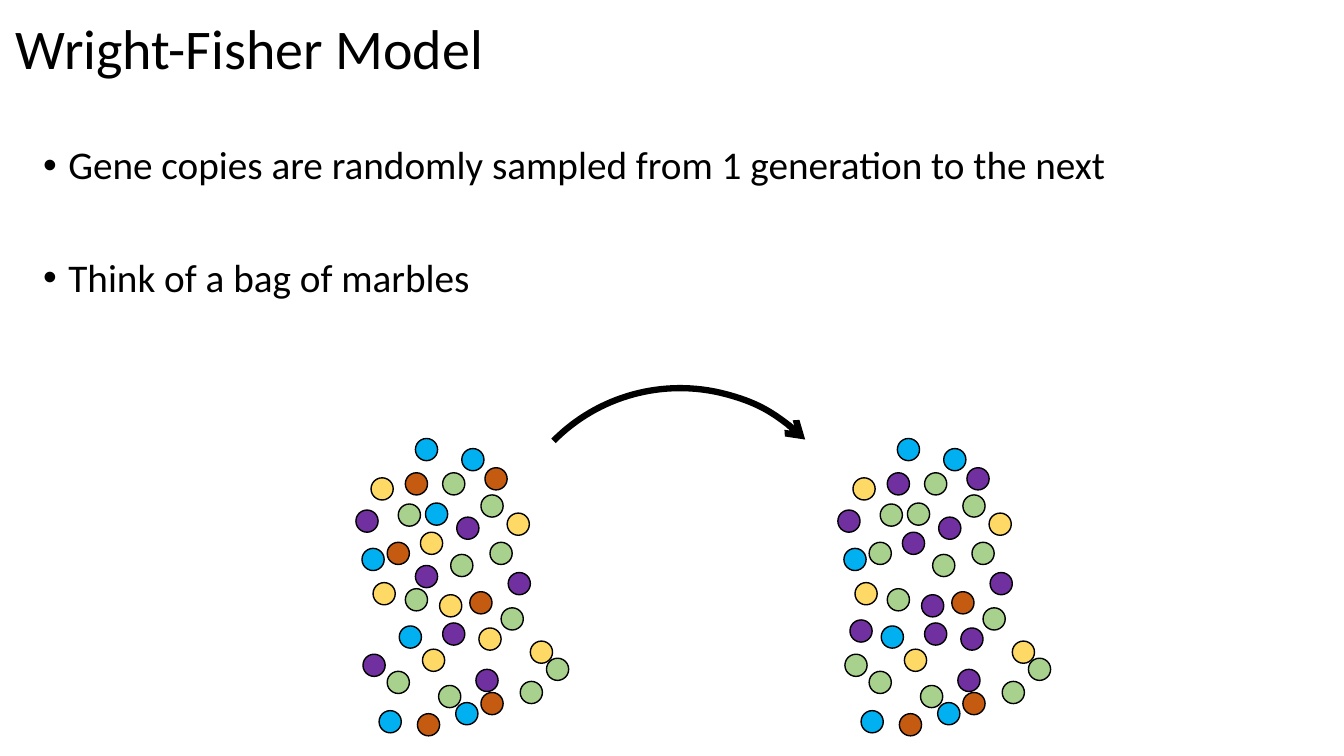
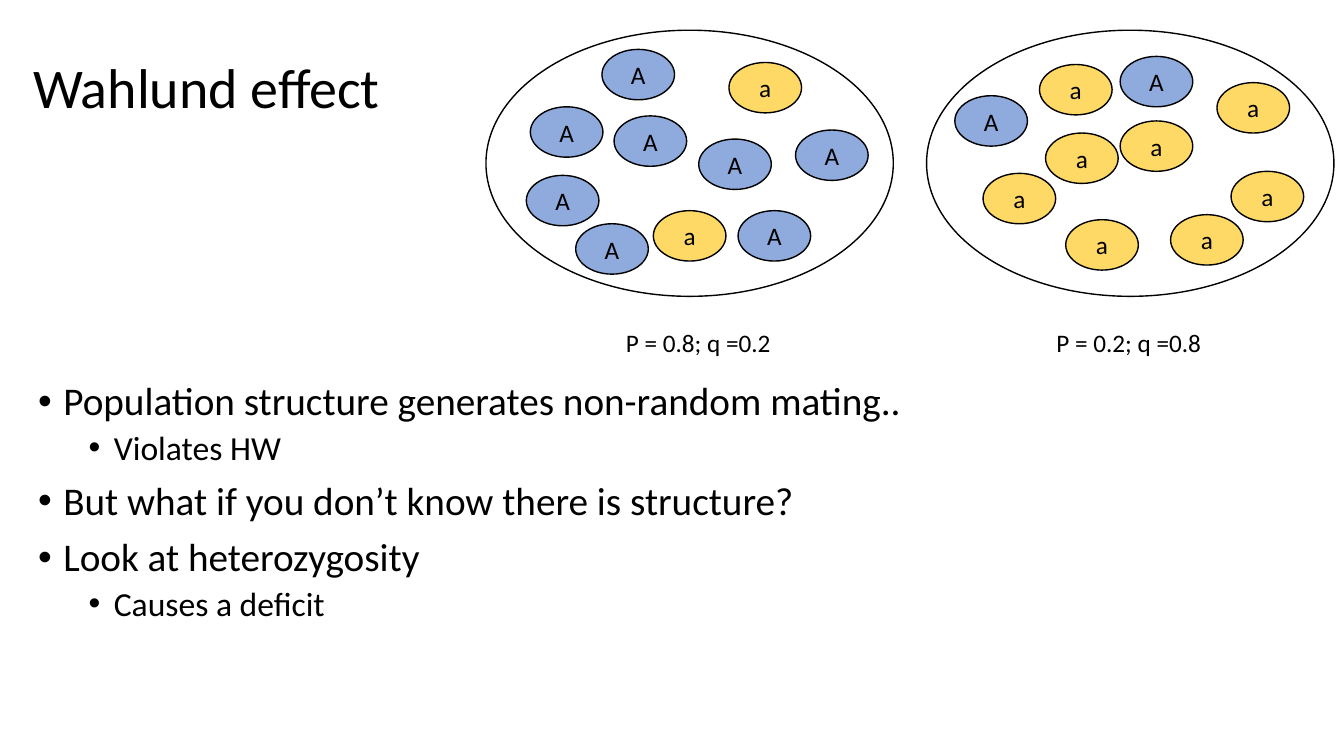
from dataclasses import dataclass

from lxml import etree
from pptx import Presentation
from pptx.dml.color import RGBColor
from pptx.enum.shapes import MSO_SHAPE
from pptx.enum.text import MSO_ANCHOR, MSO_AUTO_SIZE, PP_ALIGN
from pptx.oxml.ns import qn
from pptx.util import Inches, Pt

OVAL, ARC = MSO_SHAPE.OVAL, MSO_SHAPE.ARC
TOP, MIDDLE = MSO_ANCHOR.TOP, MSO_ANCHOR.MIDDLE
CENTER = PP_ALIGN.CENTER


@dataclass(frozen=True)
class Theme:
    font: str = "Calibri"
    ink: str = "000000"
    yellow: str = "FFD966"
    green: str = "A9D18E"
    orange: str = "C55A11"
    purple: str = "7030A0"
    cyan: str = "00B0F0"
    blue: str = "8FAADC"
    title: int = 40
    body: tuple = (28, 24)      # by bullet level
    label: int = 18
    space: tuple = (10, 5)      # space before, by bullet level
    line_spacing: float = 0.9
    outline: float = 1
    arrow: float = 4.5


T = Theme()

# Content: bullets are (text, level, extra space before in points)
MODEL_TITLE = ("Wright-Fisher Model", (0.06, 0, 11.5, 1.02))
MODEL_BOX = (0.33, 1.4, 12.09, 5.35)
MODEL_BULLETS = [
    ("Gene copies are randomly sampled from 1 generation to the next", 0, 0),
    ("Think of a bag of marbles", 0, 40),
]
WAHLUND_TITLE = ("Wahlund effect", (0.23, 0.17, 4.2, 1.45))
WAHLUND_BOX = (0.28, 3.74, 12.05, 3.8)
WAHLUND_BULLETS = [
    ("Population structure generates non-random mating..", 0, 0),
    ("Violates HW", 1, 0),
    ("But what if you don’t know there is structure?", 0, 0),
    ("Look at heterozygosity", 0, 0),
    ("Causes a deficit", 1, 0),
]

# Marbles: left, top, colour in each generation ("-" where absent)
MARBLE_COLOURS = {"Y": T.yellow, "G": T.green, "O": T.orange,
                  "P": T.purple, "C": T.cyan}
MARBLE_SIZE = 0.22
GENERATION_SHIFT = 4.78
MARBLES = [
    (3.7, 5.78, "YY"), (4.19, 6.44, "YY"), (4.36, 5.9, "YP"),
    (4.17, 5.28, "YP"), (5.03, 5.09, "YY"), (3.68, 4.74, "YY"),
    (4.75, 6.23, "YP"), (5.26, 6.36, "YY"), (4.35, 6.8, "GG"),
    (3.84, 6.66, "GG"), (3.95, 5, "GG"), (5.42, 6.53, "GG"),
    (4.47, 5.5, "GG"), (4.97, 6.03, "GG"), (4.39, 4.69, "GG"),
    (4.02, 5.84, "GG"), (4.14, 7.08, "OO"), (4.86, 5.38, "GG"),
    (5.16, 6.76, "GG"), (4.77, 4.91, "GG"), (4.77, 6.87, "OO"),
    (4.66, 5.87, "OO"), (3.84, 5.38, "OG"), (4.81, 4.64, "OP"),
    (4.02, 4.69, "OP"), (4.53, 5.13, "PP"), (5.04, 5.68, "PP"),
    (4.12, 5.61, "P-"), (3.65, 6.15, "-P"), (3.6, 6.49, "PG"),
    (3.53, 5.06, "PP"), (4.72, 6.64, "PP"), (4.39, 6.18, "PP"),
    (4.52, 6.97, "CC"), (3.59, 5.44, "CC"), (3.96, 6.21, "CC"),
    (4.12, 4.35, "CC"), (4.58, 4.45, "CC"), (3.76, 7.05, "CC"),
    (4.22, 4.99, "CG"),
]
ARROW_BOX, ARROW_TURN = (4.98, 3.85, 3.53, 3.53), 314.7

# Populations: left edge, label with its left edge, allele places by letter
ALLELE_COLOURS = {"A": T.blue, "a": T.yellow}
ALLELE_SIZE = (0.72, 0.5)
POPULATION_TOP, POPULATION_SIZE = 0.3, (4.04, 2.64)
LABEL_TOP, LABEL_SIZE = 3.2, (1.66, 0.4)
POPULATIONS = [
    (4.82, "P = 0.8; q =0.2", 6.11, {
        "A": [(5.26, 1.06), (6.09, 1.15), (5.22, 1.74), (5.71, 2.22),
              (6.93, 1.38), (7.32, 2.09), (5.97, 0.49), (7.89, 1.29)],
        "a": [(6.48, 2.09), (7.23, 0.62)],
    }),
    (9.19, "P = 0.2; q =0.8", 10.38, {
        "A": [(9.47, 0.95), (11.11, 0.56)],
        "a": [(10.57, 2.18), (12.07, 0.82), (11.61, 2.13), (10.37, 1.32),
              (12.21, 1.7), (10.31, 0.64), (11.11, 1.2), (9.75, 1.72)],
    }),
]


# Helpers
def inches(box):
    return [Inches(v) for v in box]


def style(p, size):
    for r in p.runs:
        r.font.name = T.font
        r.font.size = Pt(size)
        r.font.color.rgb = RGBColor.from_string(T.ink)


def add_text(s, box, text, size, anchor=TOP, wrap=True):
    sp = s.shapes.add_textbox(*inches(box))
    tf = sp.text_frame
    tf.word_wrap = wrap
    tf.vertical_anchor = anchor
    tf.text = text
    style(tf.paragraphs[0], size)
    return tf


def add_title(s, text, box):
    tf = add_text(s, box, text, T.title, MIDDLE)
    tf.paragraphs[0].line_spacing = T.line_spacing


def add_bullets(s, box, bullets):
    tf = add_text(s, box, "", T.body[0])
    for i, (text, level, extra) in enumerate(bullets):
        p = tf.add_paragraph() if i else tf.paragraphs[0]
        pPr = p._p.get_or_add_pPr()
        pPr.set("marL", str(Inches(0.25 + 0.5 * level)))
        pPr.set("indent", str(-Inches(0.25)))
        etree.SubElement(pPr, qn("a:buFont")).set("typeface", "Arial")
        etree.SubElement(pPr, qn("a:buChar")).set("char", "•")
        p.level = level
        p.line_spacing = T.line_spacing
        p.space_before = Pt(T.space[level] + extra if i else 0)
        p.text = text
        style(p, T.body[level])


def add_outlined(shapes, kind, box, fill=None, weight=T.outline):
    sp = shapes.add_shape(kind, *inches(box))
    sp.shadow.inherit = False
    if fill:
        sp.fill.solid()
        sp.fill.fore_color.rgb = RGBColor.from_string(fill)
    else:
        sp.fill.background()
    sp.line.color.rgb = RGBColor.from_string(T.ink)
    sp.line.width = Pt(weight)
    return sp


# Slides
def add_model_slide(prs):
    s = prs.slides.add_slide(prs.slide_layouts[6])
    add_title(s, *MODEL_TITLE)
    add_bullets(s, MODEL_BOX, MODEL_BULLETS)
    for generation in range(2):
        group = s.shapes.add_group_shape()
        for x, y, codes in MARBLES:
            fill = MARBLE_COLOURS.get(codes[generation])
            if fill:
                left = x + generation * GENERATION_SHIFT
                box = (left, y, MARBLE_SIZE, MARBLE_SIZE)
                add_outlined(group.shapes, OVAL, box, fill)
    arrow = add_outlined(s.shapes, ARC, ARROW_BOX, weight=T.arrow)
    arrow.rotation = ARROW_TURN
    etree.SubElement(arrow.line._get_or_add_ln(),
                     qn("a:tailEnd")).set("type", "arrow")


def add_wahlund_slide(prs):
    s = prs.slides.add_slide(prs.slide_layouts[6])
    add_title(s, *WAHLUND_TITLE)
    add_bullets(s, WAHLUND_BOX, WAHLUND_BULLETS)
    for left, label, label_left, alleles in POPULATIONS:
        group = s.shapes.add_group_shape()
        add_outlined(group.shapes, OVAL,
                     (left, POPULATION_TOP, *POPULATION_SIZE))
        for letter, places in alleles.items():
            for place in places:
                sp = add_outlined(group.shapes, OVAL, (*place, *ALLELE_SIZE),
                                  ALLELE_COLOURS[letter])
                tf = sp.text_frame
                tf.vertical_anchor = MIDDLE
                tf.text = letter
                tf.paragraphs[0].alignment = CENTER
                style(tf.paragraphs[0], T.label)
        tf = add_text(s, (label_left, LABEL_TOP, *LABEL_SIZE), label,
                      T.label, wrap=False)
        tf.auto_size = MSO_AUTO_SIZE.SHAPE_TO_FIT_TEXT


def main():
    prs = Presentation()
    prs.slide_width, prs.slide_height = Inches(13.33), Inches(7.5)
    add_model_slide(prs)
    add_wahlund_slide(prs)
    prs.save("out.pptx")


if __name__ == "__main__":
    main()
